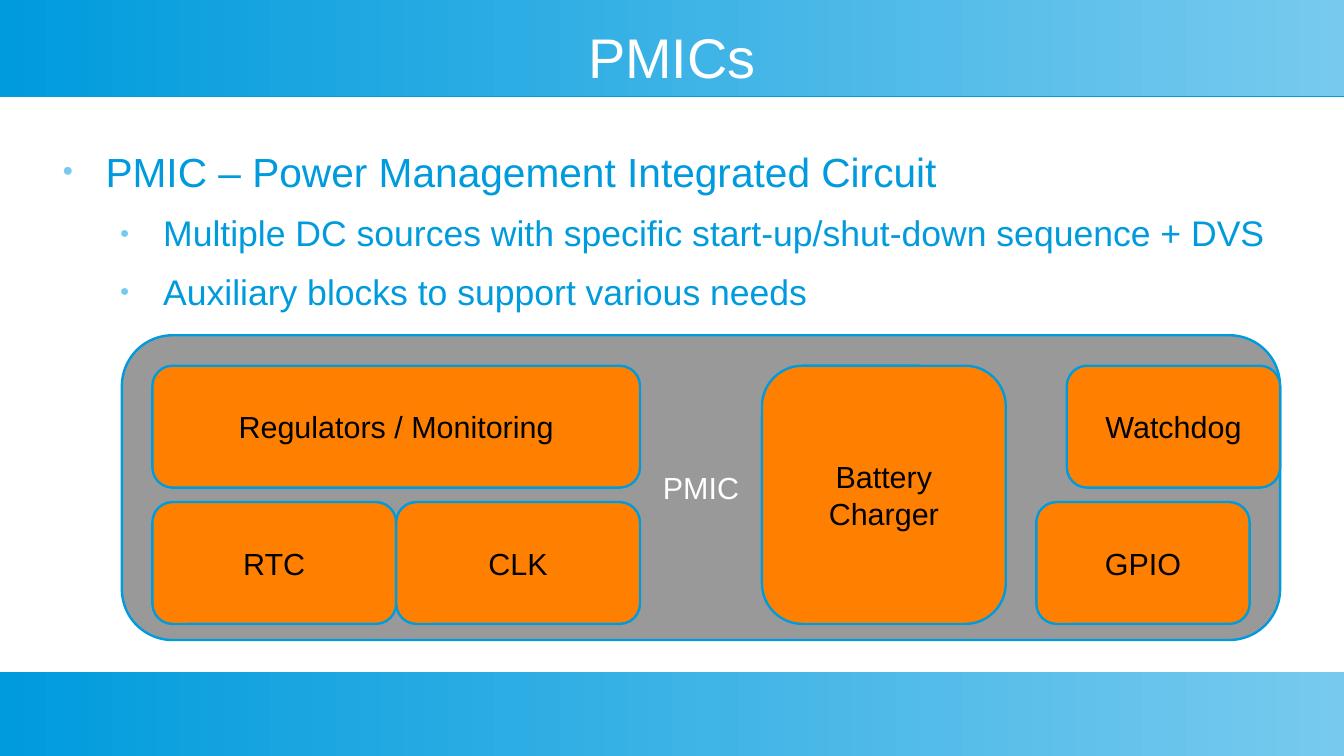
from dataclasses import dataclass

from lxml.etree import SubElement
from pptx import Presentation
from pptx.dml.color import RGBColor
from pptx.enum.shapes import MSO_SHAPE as Preset
from pptx.enum.text import MSO_ANCHOR as Anchor, PP_ALIGN as Align
from pptx.oxml.ns import qn
from pptx.util import Cm, Pt

FONT = "Arial"
COLORS = {
    "blue": "009BDD",
    "sky": "77CAEE",
    "gray": "999999",
    "orange": "FF8000",
    "white": "FFFFFF",
    "black": "000000",
}

# Sizes in centimetres
SLIDE_WIDTH, SLIDE_HEIGHT = 28, 15.75
HEADER_HEIGHT, FOOTER_HEIGHT = 2, 1.75
MARGIN, CONTENT_WIDTH = 1, 26
INCH = 2.54
BLOCK_HEIGHT, ROW_GAP = INCH, 0.3
UPPER_ROW = 3 * INCH
LOWER_ROW = UPPER_ROW + BLOCK_HEIGHT + ROW_GAP
TALL_HEIGHT = 2 * BLOCK_HEIGHT + ROW_GAP


@dataclass
class Block:
    text: str
    left: float
    top: float
    width: float
    height: float = BLOCK_HEIGHT
    fill: str = "orange"
    text_color: str = "black"


@dataclass
class Bullet:
    text: str
    level: int
    size: float
    space_before: float


BLOCKS = [
    Block("PMIC", INCH, 2.75 * INCH, 9.5 * INCH, 2.5 * INCH, "gray", "white"),
    Block("Regulators / Monitoring", 1.25 * INCH, UPPER_ROW, 4 * INCH),
    Block("RTC", 1.25 * INCH, LOWER_ROW, 2 * INCH),
    Block("CLK", 3.25 * INCH, LOWER_ROW, 2 * INCH),
    Block("Battery\nCharger", 6.25 * INCH, UPPER_ROW, 2 * INCH, TALL_HEIGHT),
    Block("GPIO", 8.5 * INCH, LOWER_ROW, 1.75 * INCH),
    Block("Watchdog", 8.75 * INCH, UPPER_ROW, 1.75 * INCH),
]

BULLETS = [
    Bullet("PMIC – Power Management Integrated Circuit", 0, 24, 0),
    Bullet("Multiple DC sources with specific start-up/shut-down sequence + DVS", 1, 21, 9.5),
    Bullet("Auxiliary blocks to support various needs", 1, 21, 9.5),
]


def color(name: str) -> RGBColor:
    return RGBColor.from_string(COLORS[name])


def format_runs(paragraph, size: float, color_name: str) -> None:
    for run in paragraph.runs:
        run.font.name = FONT
        run.font.size = Pt(size)
        run.font.color.rgb = color(color_name)


def clear_insets(text_frame) -> None:
    text_frame.margin_left = text_frame.margin_right = 0
    text_frame.margin_top = text_frame.margin_bottom = 0


def add_band(slide, top: float, height: float) -> None:
    band = slide.shapes.add_shape(Preset.RECTANGLE, 0, Cm(top), Cm(SLIDE_WIDTH), Cm(height))
    band.fill.gradient()
    band.fill.gradient_angle = 0
    for stop, name in zip(band.fill.gradient_stops, ("blue", "sky")):
        stop.color.rgb = color(name)
    band.line.fill.background()
    # A hard shadow just below the band
    band.shadow.inherit = False
    effects = band._element.spPr.find(qn("a:effectLst"))
    shadow = SubElement(effects, qn("a:outerShdw"), blurRad="0", dist=str(Pt(0.9)),
                        dir="5400000", algn="tl", rotWithShape="0")
    SubElement(shadow, qn("a:srgbClr"), val=COLORS["blue"])


def set_title(slide, text: str) -> None:
    title = slide.shapes.title
    title.left, title.top = Cm(MARGIN), Cm(0.5)
    title.width, title.height = Cm(CONTENT_WIDTH), Cm(1.33)
    text_frame = title.text_frame
    text_frame.text = text
    text_frame.vertical_anchor = Anchor.MIDDLE
    clear_insets(text_frame)
    paragraph = text_frame.paragraphs[0]
    paragraph.alignment = Align.CENTER
    format_runs(paragraph, 33, "white")
    # Keep the title in front of the bands
    slide.shapes._spTree.append(title._element)


def add_bullet_marks(paragraph, level: int) -> None:
    properties = paragraph._p.get_or_add_pPr()
    properties.set("marL", str(Cm(1.2 * (level + 1))))
    properties.set("indent", str(-Cm(0.9)))
    bullet_color = SubElement(properties, qn("a:buClr"))
    SubElement(bullet_color, qn("a:srgbClr"), val=COLORS["sky"])
    SubElement(properties, qn("a:buSzPct"), val="45000")
    SubElement(properties, qn("a:buFont"), typeface=FONT)
    SubElement(properties, qn("a:buChar"), char="●")


def add_bullets(slide, bullets: list[Bullet]) -> None:
    box = slide.shapes.add_textbox(Cm(MARGIN), Cm(3.05), Cm(CONTENT_WIDTH), Cm(3.6))
    text_frame = box.text_frame
    text_frame.word_wrap = True
    clear_insets(text_frame)
    text_frame.text = "\n".join(bullet.text for bullet in bullets)
    for paragraph, bullet in zip(text_frame.paragraphs, bullets):
        paragraph.level = bullet.level
        paragraph.space_before = Pt(bullet.space_before)
        add_bullet_marks(paragraph, bullet.level)
        format_runs(paragraph, bullet.size, "blue")


def add_block(slide, block: Block) -> None:
    shape = slide.shapes.add_shape(Preset.ROUNDED_RECTANGLE, Cm(block.left), Cm(block.top),
                                   Cm(block.width), Cm(block.height))
    shape.shadow.inherit = False
    shape.fill.solid()
    shape.fill.fore_color.rgb = color(block.fill)
    shape.line.color.rgb = color("blue")
    shape.line.width = Pt(1.42)
    text_frame = shape.text_frame
    text_frame.word_wrap = False
    text_frame.vertical_anchor = Anchor.MIDDLE
    text_frame.text = block.text
    for paragraph in text_frame.paragraphs:
        paragraph.alignment = Align.CENTER
        format_runs(paragraph, 18, block.text_color)


def main() -> None:
    presentation = Presentation()
    presentation.slide_width = Cm(SLIDE_WIDTH)
    presentation.slide_height = Cm(SLIDE_HEIGHT)
    slide = presentation.slides.add_slide(presentation.slide_layouts[5])

    # Header and footer bands
    add_band(slide, 0, HEADER_HEIGHT)
    add_band(slide, SLIDE_HEIGHT - FOOTER_HEIGHT, FOOTER_HEIGHT)

    # Title and explanation
    set_title(slide, "PMICs")
    add_bullets(slide, BULLETS)

    # Block diagram
    for block in BLOCKS:
        add_block(slide, block)

    presentation.save("out.pptx")


if __name__ == "__main__":
    main()
